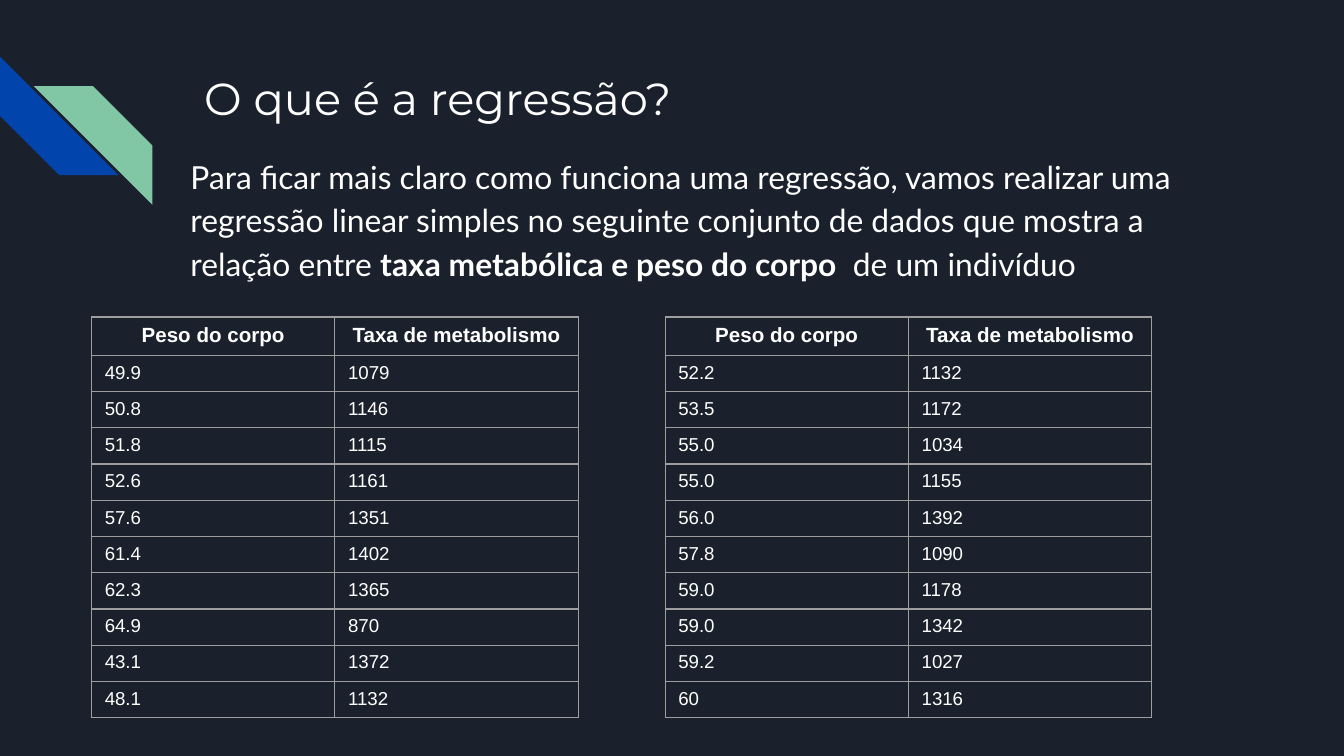
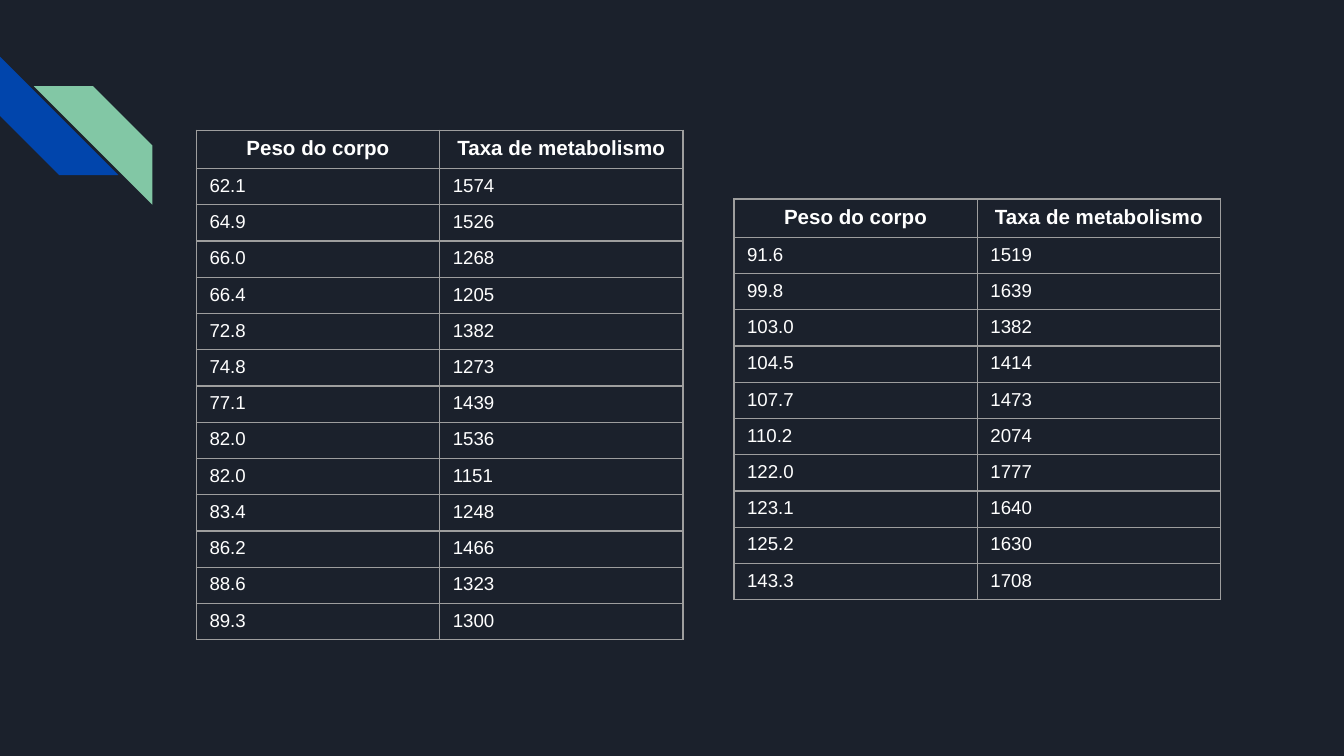
import pptx
import pptx.dml.color
import pptx.enum.shapes
import pptx.enum.text
import pptx.oxml
import pptx.oxml.ns
import pptx.util
from pptx.util import Cm

COLORS = {
    "background": "1B212C",
    "blue": "0145AC",
    "green": "82C7A5",
    "text": "FFFFFF",
    "border": "9E9E9E",
}
HEADERS = ("Peso do corpo", "Taxa de metabolismo")
BORDER_WIDTH = pptx.util.Pt(0.75)
BLANK_LAYOUT = 6

# Body weight and metabolic rate, one list for each table
FIRST_SAMPLE = [
    ("49.9", "1079"), ("50.8", "1146"), ("51.8", "1115"), ("52.6", "1161"),
    ("57.6", "1351"), ("61.4", "1402"), ("62.3", "1365"), ("64.9", "870"),
    ("43.1", "1372"), ("48.1", "1132"),
]
SECOND_SAMPLE = [
    ("52.2", "1132"), ("53.5", "1172"), ("55.0", "1034"), ("55.0", "1155"),
    ("56.0", "1392"), ("57.8", "1090"), ("59.0", "1178"), ("59.0", "1342"),
    ("59.2", "1027"), ("60", "1316"),
]
THIRD_SAMPLE = [
    ("62.1", "1574"), ("64.9", "1526"), ("66.0", "1268"), ("66.4", "1205"),
    ("72.8", "1382"), ("74.8", "1273"), ("77.1", "1439"), ("82.0", "1536"),
    ("82.0", "1151"), ("83.4", "1248"), ("86.2", "1466"), ("88.6", "1323"),
    ("89.3", "1300"),
]
FOURTH_SAMPLE = [
    ("91.6", "1519"), ("99.8", "1639"), ("103.0", "1382"), ("104.5", "1414"),
    ("107.7", "1473"), ("110.2", "2074"), ("122.0", "1777"), ("123.1", "1640"),
    ("125.2", "1630"), ("143.3", "1708"),
]


def color(name):
    return pptx.dml.color.RGBColor.from_string(COLORS[name])


def set_font(font, name, size, bold=None):
    font.name = name
    font.size = pptx.util.Pt(size)
    font.bold = bold
    font.color.rgb = color("text")


def add_stripe(group, left, top, fill):
    stripe = group.shapes.add_shape(
        pptx.enum.shapes.MSO_SHAPE.DIAGONAL_STRIPE,
        Cm(left), Cm(top), Cm(2.24), Cm(2.24))
    stripe.shadow.inherit = False
    stripe.fill.solid()
    stripe.fill.fore_color.rgb = color(fill)
    stripe.line.fill.background()
    return stripe


def add_page(deck):
    """Add a dark page with the two corner stripes."""
    page = deck.slides.add_slide(deck.slide_layouts[BLANK_LAYOUT])
    page.background.fill.solid()
    page.background.fill.fore_color.rgb = color("background")
    stripes = page.shapes.add_group_shape()
    add_stripe(stripes, 0, 1.07, "blue").rotation = 270
    green = add_stripe(stripes, 0.64, 1.63, "green")
    green.element.spPr.find(pptx.oxml.ns.qn("a:xfrm")).set("flipH", "1")
    return page


def add_text(page, left, top, height, spans, font_name, size):
    """Add one paragraph made of (text, bold) spans."""
    box = page.shapes.add_textbox(Cm(left), Cm(top), Cm(19.56), Cm(height))
    frame = box.text_frame
    frame.word_wrap = True
    frame.margin_left = frame.margin_right = Cm(0.25)
    frame.margin_top = frame.margin_bottom = Cm(0.25)
    para = frame.paragraphs[0]
    set_font(para.font, font_name, size)
    for text, bold in spans:
        span = para.add_run()
        span.text = text
        if bold:
            span.font.bold = True
    return para


def style_cell(cell):
    properties = cell._tc.get_or_add_tcPr()
    for side in ("lnL", "lnR", "lnT", "lnB"):
        properties.append(pptx.oxml.parse_xml(
            f'<a:{side} {pptx.oxml.ns.nsdecls("a")} w="{BORDER_WIDTH}">'
            f'<a:solidFill><a:srgbClr val="{COLORS["border"]}"/></a:solidFill>'
            f'</a:{side}>'))
    cell.fill.background()
    cell.margin_left = cell.margin_right = Cm(0.25)
    cell.margin_top = cell.margin_bottom = Cm(0.13)


def add_data_table(page, left, top, sample):
    column_width, header_height, row_height = Cm(4.6), Cm(0.71), Cm(0.61)
    rows = [HEADERS, *sample]
    table = page.shapes.add_table(
        len(rows), len(HEADERS), Cm(left), Cm(top),
        column_width * len(HEADERS),
        header_height + row_height * len(sample)).table
    table.first_row = table.horz_banding = False
    for column in table.columns:
        column.width = column_width
    for row_index, values in enumerate(rows):
        is_header = row_index == 0
        table.rows[row_index].height = header_height if is_header else row_height
        for column_index, value in enumerate(values):
            cell = table.cell(row_index, column_index)
            style_cell(cell)
            cell.text = value
            para = cell.text_frame.paragraphs[0]
            if is_header:
                para.alignment = pptx.enum.text.PP_ALIGN.CENTER
            set_font(para.font, "Arial", 11 if is_header else 10, is_header)


def main():
    deck = pptx.Presentation()
    deck.slide_width, deck.slide_height = Cm(25.4), Cm(14.29)

    # Introduction and first half of the data
    page = add_page(deck)
    add_text(page, 3.61, 1.09, 2.54,
             [("O que é a regressão?", False)], "Montserrat", 24)
    body = add_text(page, 3.35, 2.62, 8.08, [
        ("Para ficar mais claro como funciona uma regressão, vamos realizar "
         "uma regressão linear simples no seguinte conjunto de dados que "
         "mostra a relação entre ", False),
        ("taxa metabólica e peso do corpo ", True),
        (" de um indivíduo", False),
    ], "Lato", 17)
    body.line_spacing = 1.15
    body.space_after = pptx.util.Pt(12)
    add_data_table(page, 1.73, 5.99, FIRST_SAMPLE)
    add_data_table(page, 12.57, 5.99, SECOND_SAMPLE)

    # Second half of the data
    page = add_page(deck)
    add_data_table(page, 3.71, 2.46, THIRD_SAMPLE)
    add_data_table(page, 13.87, 3.76, FOURTH_SAMPLE)

    deck.save("out.pptx")


if __name__ == "__main__":
    main()
